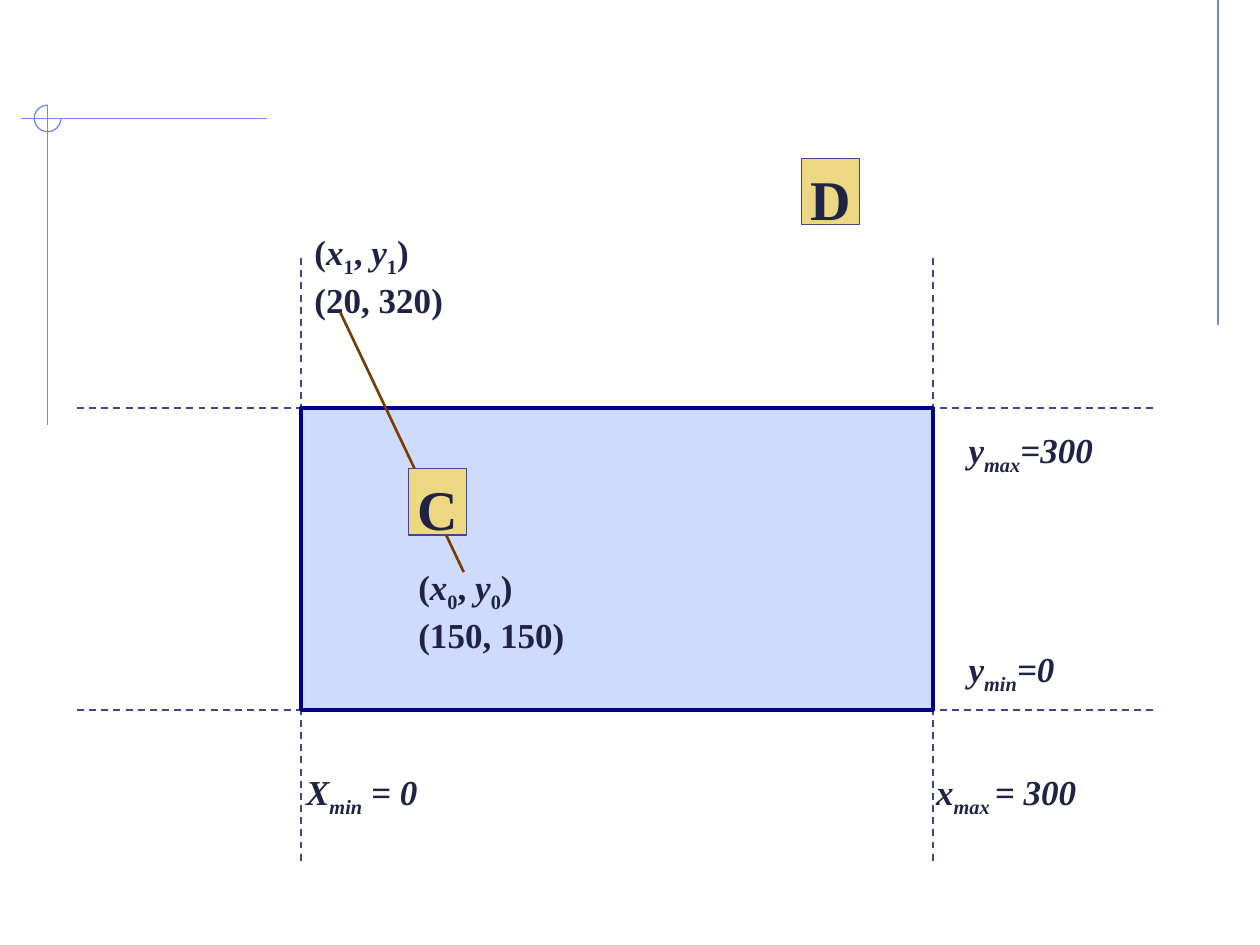
from typing import NamedTuple

from lxml.etree import SubElement
from pptx import Presentation
from pptx.dml.color import RGBColor
from pptx.enum.dml import MSO_LINE
from pptx.enum.shapes import MSO_CONNECTOR, MSO_SHAPE
from pptx.enum.text import MSO_ANCHOR, PP_ALIGN
from pptx.oxml.ns import qn
from pptx.util import Pt

COLORS = {
    "ornament": "6F89F7",
    "guide": "40458C",
    "window": "CFDBFD",
    "window_edge": "00008C",
    "segment": "783C00",
    "code": "ECD882",
    "text": "202346",
}
FONT = "Times New Roman"

# Clipping window edges
X_MIN, X_MAX = 172.1, 533
Y_MAX, Y_MIN = 233.3, 405.7


class Line(NamedTuple):
    x1: float
    y1: float
    x2: float
    y2: float
    color: str
    width: float
    dashed: bool = False


class Part(NamedTuple):
    text: str
    italic: bool = False
    subscript: bool = False


class Label(NamedTuple):
    left: float
    top: float
    width: float
    height: float
    lines: list[list[Part]]


class CodeBox(NamedTuple):
    left: float
    top: float
    letter: str


def color(name: str) -> RGBColor:
    return RGBColor.from_string(COLORS[name])


def add_run(paragraph, text: str, *, size: float = 20, italic: bool = False,
            subscript: bool = False) -> None:
    run = paragraph.add_run()
    run.text = text
    run.font.name = FONT
    run.font.size = Pt(size)
    run.font.bold = True
    run.font.italic = italic
    run.font.color.rgb = color("text")
    if subscript:
        run._r.get_or_add_rPr().set("baseline", "-25000")


def prepare_frame(frame) -> None:
    frame.word_wrap = False
    frame.vertical_anchor = MSO_ANCHOR.TOP
    frame.margin_left = frame.margin_right = Pt(7.2)
    frame.margin_top = frame.margin_bottom = Pt(3.6)


def add_line(slide, line: Line) -> None:
    connector = slide.shapes.add_connector(
        MSO_CONNECTOR.STRAIGHT, Pt(line.x1), Pt(line.y1), Pt(line.x2), Pt(line.y2))
    connector.line.color.rgb = color(line.color)
    connector.line.width = Pt(line.width)
    if line.dashed:
        connector.line.dash_style = MSO_LINE.DASH
    SubElement(connector._element.spPr, qn("a:effectLst"))


def add_preset(slide, kind, left: float, top: float, width: float, height: float,
               *, fill: str | None, line: str, line_width: float):
    shape = slide.shapes.add_shape(kind, Pt(left), Pt(top), Pt(width), Pt(height))
    shape.shadow.inherit = False
    if fill:
        shape.fill.solid()
        shape.fill.fore_color.rgb = color(fill)
    else:
        shape.fill.background()
    shape.line.color.rgb = color(line)
    shape.line.width = Pt(line_width)
    return shape


def add_label(slide, label: Label) -> None:
    box = slide.shapes.add_textbox(
        Pt(label.left), Pt(label.top), Pt(label.width), Pt(label.height))
    frame = box.text_frame
    prepare_frame(frame)
    for index, parts in enumerate(label.lines):
        paragraph = frame.add_paragraph() if index else frame.paragraphs[0]
        for part in parts:
            add_run(paragraph, part.text, italic=part.italic, subscript=part.subscript)


def add_code_box(slide, box: CodeBox) -> None:
    shape = add_preset(slide, MSO_SHAPE.RECTANGLE, box.left, box.top, 33.3, 38,
                       fill="code", line="guide", line_width=0.75)
    prepare_frame(shape.text_frame)
    paragraph = shape.text_frame.paragraphs[0]
    paragraph.alignment = PP_ALIGN.CENTER
    add_run(paragraph, box.letter, size=32)


def point_lines(index: str, coordinates: str) -> list[list[Part]]:
    """Name of an end point, with its coordinates below."""
    name = [Part("("), Part("x", italic=True), Part(index, subscript=True), Part(", "),
            Part("y", italic=True), Part(index, subscript=True), Part(")")]
    return [name, [Part(coordinates)]]


def limit_lines(axis: str, limit: str, value: str) -> list[list[Part]]:
    """Value of one window edge."""
    return [[Part(axis, True), Part(limit, True, True), Part(value, True)]]


ORNAMENT_LINES = [
    Line(696, 0, 696, 185.8, "ornament", 0.75),
    Line(152.5, 67.7, 12.2, 67.7, "ornament", 0.75),
    Line(27.2, 60.2, 27.2, 243, "ornament", 0.75),
]
GUIDES = [Line(x, 491.8, x, 147, "guide", 1, True) for x in (X_MIN, X_MAX)] + [
    Line(44, y, 661, y, "guide", 1, True) for y in (Y_MAX, Y_MIN)]
SEGMENT = Line(265, 326.9, 194.4, 178.4, "segment", 1.5)

LABELS = [
    Label(172.6, 128.2, 90, 82.8, point_lines("1", "(20, 320)")),
    Label(232, 319.5, 100, 82.8, point_lines("0", "(150, 150)")),
    Label(546.4, 241.2, 90, 34.6, limit_lines("y", "max", "=300")),
    Label(546.4, 366.5, 68, 34.6, limit_lines("y", "min", "=0")),
    Label(167.8, 437, 82, 34.6, limit_lines("X", "min", " = 0")),
    Label(527.8, 437, 98, 34.6, limit_lines("x", "max ", "= 300")),
]
CODE_BOXES = [CodeBox(233.3, 267.8, "C"), CodeBox(457.9, 90.4, "D")]


def main() -> None:
    presentation = Presentation()
    presentation.slide_width, presentation.slide_height = Pt(720), Pt(540)
    slide = presentation.slides.add_slide(presentation.slide_layouts[6])

    # Corner ornament with its three-quarter circle
    for line in ORNAMENT_LINES:
        add_line(slide, line)
    arc = add_preset(slide, MSO_SHAPE.ARC, 19.6, 60.1, 15.2, 15.2,
                     fill=None, line="ornament", line_width=0.75)
    arc.adjustments[0], arc.adjustments[1] = 0, 162  # 0 to 270 degrees

    # Clipping window and its extended edges
    for line in GUIDES:
        add_line(slide, line)
    add_preset(slide, MSO_SHAPE.RECTANGLE, X_MIN, Y_MAX, X_MAX - X_MIN, Y_MIN - Y_MAX,
               fill="window", line="window_edge", line_width=2.25)

    # Labels, the segment to clip and the end point codes
    for label in LABELS:
        add_label(slide, label)
    add_line(slide, SEGMENT)
    for box in CODE_BOXES:
        add_code_box(slide, box)

    presentation.save("out.pptx")


if __name__ == "__main__":
    main()
